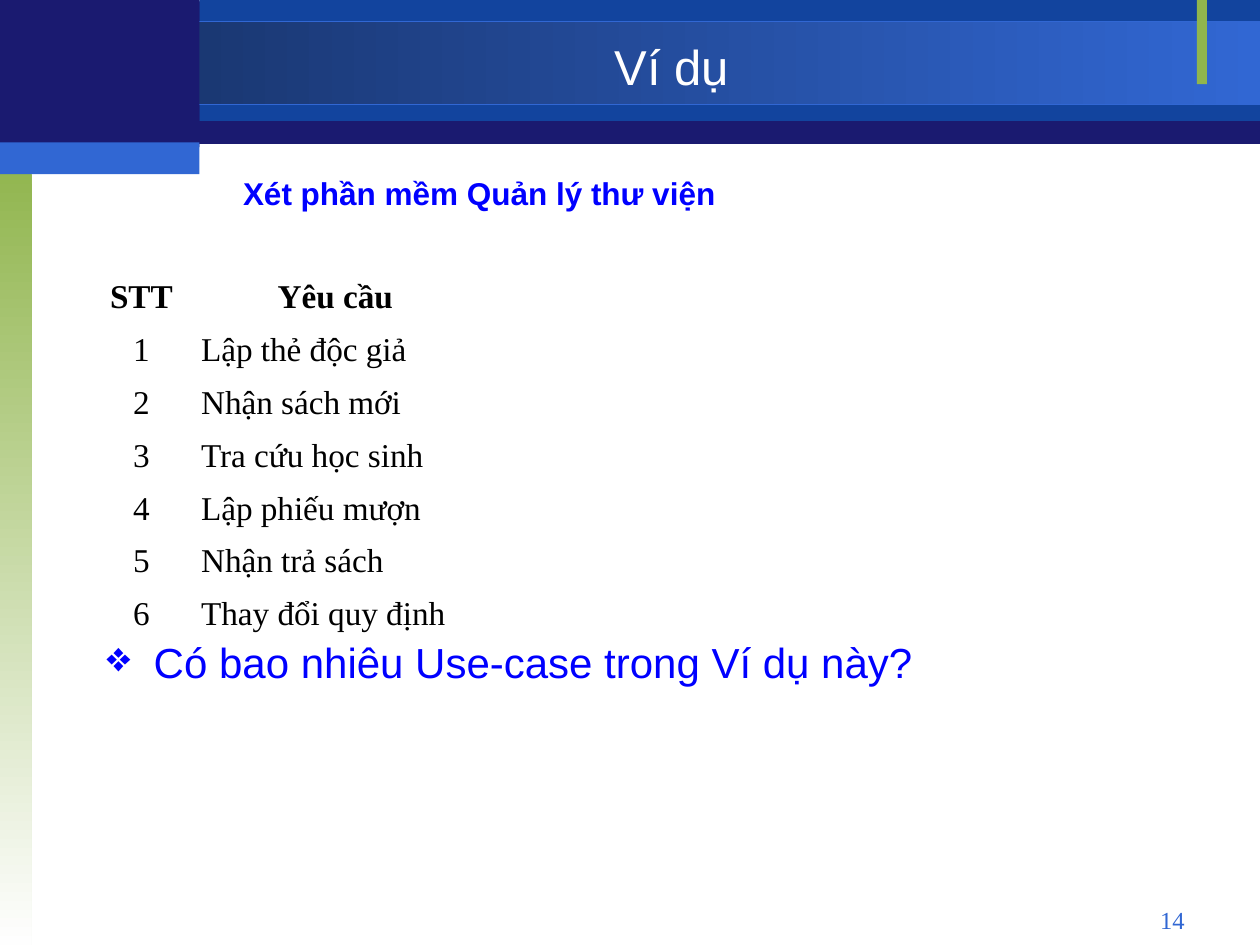
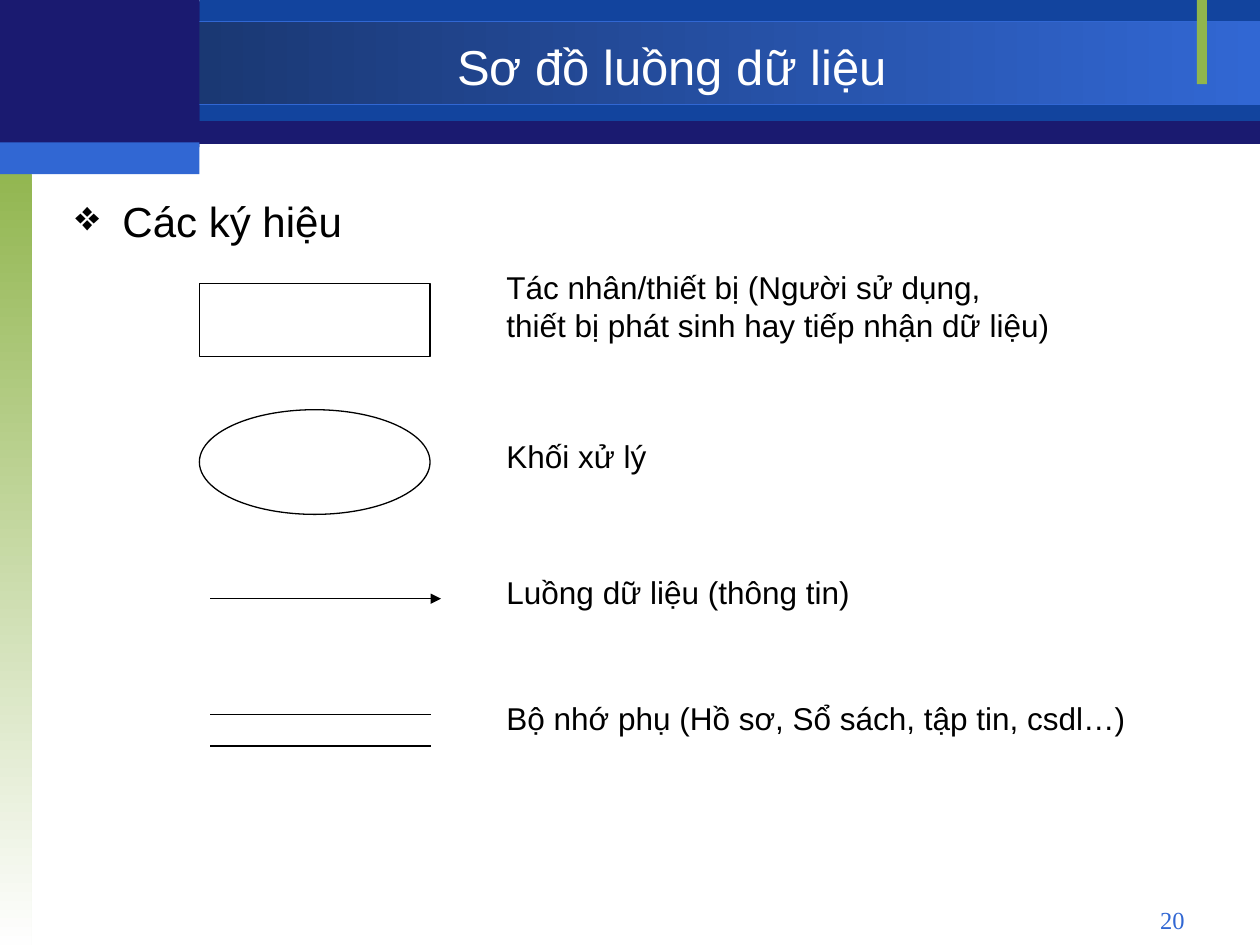
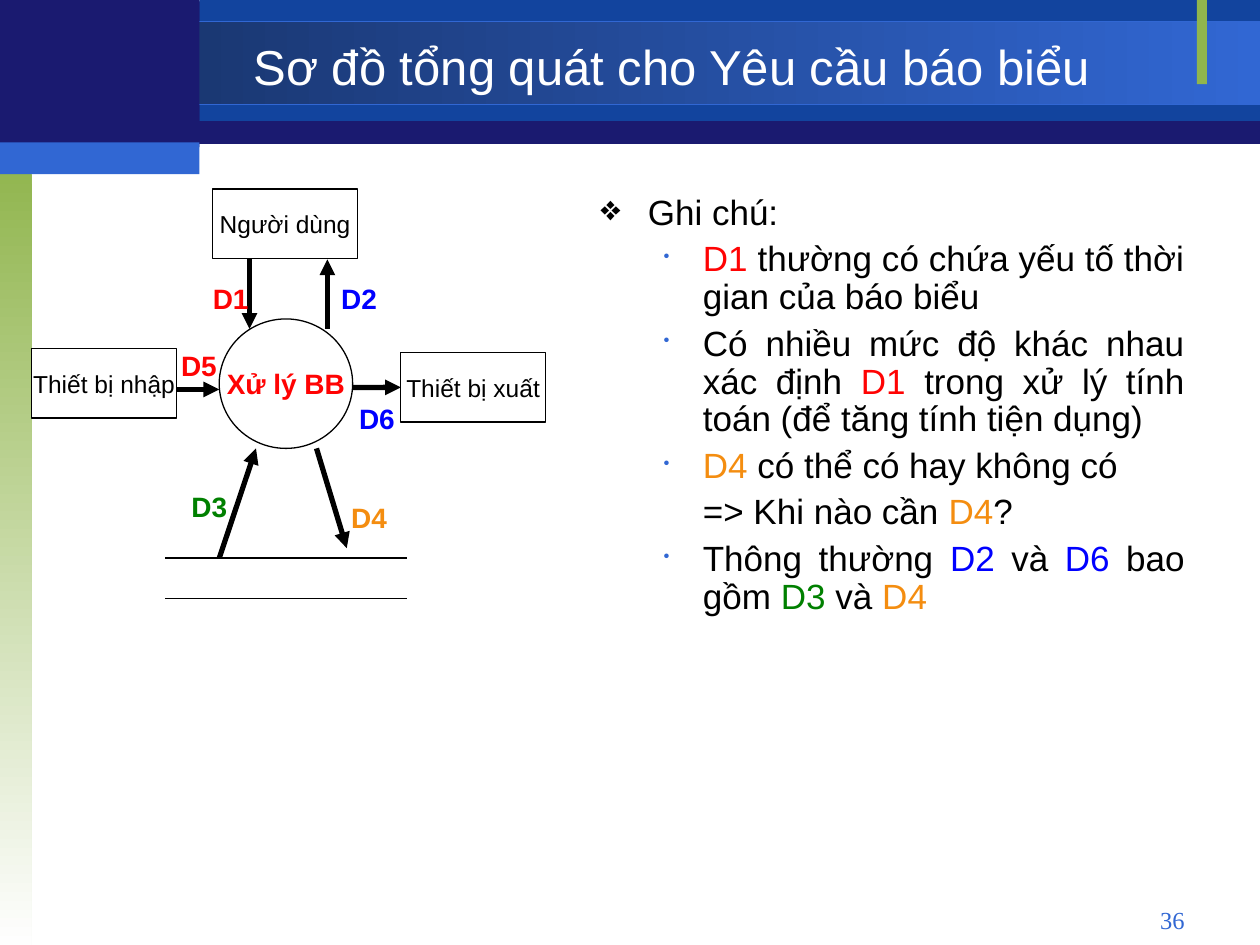
"""Builds three slides on library use cases, data-flow symbols and the report flow diagram."""
import pptx
import pptx.dml.color
import pptx.enum.shapes
import pptx.enum.text
import pptx.oxml.ns
import pptx.util
from lxml import etree

Cm, Pt = pptx.util.Cm, pptx.util.Pt
RGBColor = pptx.dml.color.RGBColor
MSO_SHAPE = pptx.enum.shapes.MSO_SHAPE
PP_ALIGN = pptx.enum.text.PP_ALIGN
MSO_ANCHOR = pptx.enum.text.MSO_ANCHOR

BLACK = RGBColor(0x00, 0x00, 0x00)
WHITE = RGBColor(0xFF, 0xFF, 0xFF)
OFF_WHITE = RGBColor(0xFE, 0xFE, 0xFE)
NAVY = RGBColor(0x1A, 0x1A, 0x70)
ROYAL = RGBColor(0x12, 0x44, 0x9E)
SKY = RGBColor(0x31, 0x67, 0xD3)
DUSK = RGBColor(0x16, 0x2F, 0x61)
LEAF = RGBColor(0x90, 0xB5, 0x4D)
BLUE = RGBColor(0x00, 0x00, 0xFF)
RED = RGBColor(0xFF, 0x03, 0x03)
GREEN = RGBColor(0x00, 0x80, 0x00)
ORANGE = RGBColor(0xF4, 0x8D, 0x10)

SANS, SERIF = "Arial", "Times New Roman"
DIAMOND, DOT = "❖", "•"
THIN, THICK = 0.75, 3

BANDS = [
    ((0, 0.03, 25.4, 2.87), NAVY),
    ((4.02, 0, 21.38, 2.44), ROYAL),
    ((0, 0.43, 25.4, 1.68), (DUSK, SKY, 0)),
    ((0, 3.18, 0.64, 15.87), (LEAF, OFF_WHITE, 270)),
    ((24.13, 0, 0.2, 1.7), LEAF),
    ((0, 0, 4.02, 2.97), NAVY),
    ((0, 2.87, 4.02, 0.64), SKY),
]

LIBRARY = {
    "title": "Ví dụ",
    "number": "14",
    "subject": "Xét phần mềm Quản lý thư viện",
    "headings": ("STT", "Yêu cầu"),
    "requirements": ["Lập thẻ độc giả", "Nhận sách mới", "Tra cứu học sinh",
                     "Lập phiếu mượn", "Nhận trả sách", "Thay đổi quy định"],
    "question": "Có bao nhiêu Use-case trong Ví dụ này?",
}

SYMBOLS = {
    "title": "Sơ đồ luồng dữ liệu",
    "number": "20",
    "heading": "Các ký hiệu",
    "outlines": [(MSO_SHAPE.RECTANGLE, (4.02, 5.72, 4.65, 1.47)),
                 (MSO_SHAPE.OVAL, (4.02, 8.26, 4.65, 2.11))],
    "flow": (4.24, 12.07, 8.89, 12.07),
    "store": [(4.24, y, 8.69, y) for y in (14.4, 15.04)],
    "meanings": [
        (5.28, ["Tác nhân/thiết bị (Người sử dụng,",
                "thiết bị phát sinh hay tiếp nhận dữ liệu)"]),
        (8.69, ["Khối xử lý"]),
        (11.43, ["Luồng dữ liệu (thông tin)"]),
        (13.97, ["Bộ nhớ phụ (Hồ sơ, Sổ sách, tập tin, csdl…)"]),
    ],
}

FLOW_COLOURS = {"D1": RED, "D2": BLUE, "D3": GREEN, "D4": ORANGE, "D5": RED, "D6": BLUE}

REPORT = {
    "title": "Sơ đồ tổng quát cho Yêu cầu báo biểu",
    "number": "36",
    "heading": "Ghi chú:",
    "notes": [
        (DOT, ["D1", " thường có chứa yếu tố thời gian của báo biểu"]),
        (DOT, ["Có nhiều mức độ khác nhau xác định ", "D1",
               " trong xử lý tính toán (để tăng tính tiện dụng)"]),
        (DOT, ["D4", " có thể có hay không có"]),
        (None, ["=> Khi nào cần ", "D4", "?"]),
        (DOT, ["Thông thường ", "D2", " và ", "D6", " bao gồm ", "D3", " và ", "D4"]),
    ],
    "devices": {"Người dùng": (4.29, 3.81), "Thiết bị nhập": (0.64, 7.03),
                "Thiết bị xuất": (8.08, 7.11)},
    "process": ("Xử lý BB", (4.42, 6.43, 2.69, 2.61)),
    "store": [(3.33, y, 8.2, y) for y in (11.25, 12.07)],
    "flows": {
        "D1": ((5.03, 5.23, 5.03, 6.63), (4.04, 5.56)),
        "D2": ((6.6, 6.63, 6.6, 5.23), (6.63, 5.56)),
        "D3": ((4.42, 11.25, 5.16, 9.04), (3.61, 9.75)),
        "D4": ((6.38, 9.04, 6.99, 11.05), (6.83, 9.96)),
        "D5": ((3.56, 7.85, 4.42, 7.85), (3.4, 6.91)),
        "D6": ((7.11, 7.81, 8.08, 7.81), (6.99, 7.98)),
    },
}


def cm(lengths):
    return [Cm(length) for length in lengths]


def add_element(parent, tag, **attributes):
    return etree.SubElement(parent, pptx.oxml.ns.qn(tag), attributes)


def style(paragraph, size, colour, bold=False, face=SANS, align=PP_ALIGN.LEFT):
    paragraph.alignment = align
    font = paragraph.font
    font.size, font.bold, font.name = Pt(size), bold, face
    if colour is not None:
        font.color.rgb = colour


def indent(paragraph, margin, hanging=0, bullet=None, colour=BLACK, percent=100):
    properties = paragraph._p.get_or_add_pPr()
    properties.set("marL", str(Cm(margin)))
    properties.set("indent", str(-Cm(hanging)))
    if bullet:
        bullet_colour = add_element(properties, "a:buClr")
        add_element(bullet_colour, "a:srgbClr", val=str(colour))
        add_element(properties, "a:buSzPct", val=str(percent * 1000))
        add_element(properties, "a:buChar", char=bullet)


def add_text(slide, at, lines, size, colour, wrap=True, anchor=MSO_ANCHOR.TOP,
             bullet=None, **look):
    frame = slide.shapes.add_textbox(*cm(at)).text_frame
    frame.word_wrap = wrap
    frame.vertical_anchor = anchor
    frame.text = "\n".join(lines)
    for paragraph in frame.paragraphs:
        if bullet:
            indent(paragraph, 0.95, 0.95, bullet, colour)
        style(paragraph, size, colour, **look)
    return frame


def add_band(slide, at, colours):
    band = slide.shapes.add_shape(MSO_SHAPE.RECTANGLE, *cm(at))
    band.shadow.inherit = False
    if isinstance(colours, RGBColor):
        band.fill.solid()
        band.fill.fore_color.rgb = colours
        band.line.fill.background()
    else:
        *ends, angle = colours
        band.fill.gradient()
        band.fill.gradient_angle = angle
        for stop, colour in zip(band.fill.gradient_stops, ends):
            stop.color.rgb = colour
        if SKY in ends:
            band.line.color.rgb = SKY
            band.line.width = Pt(THIN)
        else:
            band.line.fill.background()


def add_outline(slide, kind, at, name="", size=14, colour=BLACK, bold=False):
    outline = slide.shapes.add_shape(kind, *cm(at))
    outline.shadow.inherit = False
    outline.fill.background()
    outline.line.color.rgb = BLACK
    outline.line.width = Pt(THIN)
    if name:
        frame = outline.text_frame
        frame.word_wrap = False
        frame.vertical_anchor = MSO_ANCHOR.MIDDLE
        frame.text = name
        style(frame.paragraphs[0], size, colour, bold, align=PP_ALIGN.CENTER)
    return outline


def add_line(slide, ends, width=THIN, arrow=False):
    line = slide.shapes.add_connector(pptx.enum.shapes.MSO_CONNECTOR.STRAIGHT, *cm(ends))
    line.line.color.rgb = BLACK
    line.line.width = Pt(width)
    if arrow:
        add_element(line.line._get_or_add_ln(), "a:tailEnd", type="triangle")
    add_element(line._element.spPr, "a:effectLst")
    return line


def add_slide(deck, content):
    slide = deck.slides.add_slide(deck.slide_layouts[6])
    for at, colours in BANDS:
        add_band(slide, at, colours)
    add_text(slide, (4.02, 0.58, 19.05, 1.48), [content["title"]], 28, WHITE,
             anchor=MSO_ANCHOR.MIDDLE, align=PP_ALIGN.CENTER)
    add_text(slide, (18.21, 18.11, 5.92, 0.69), [content["number"]], 14, SKY,
             face=SERIF, align=PP_ALIGN.RIGHT)
    return slide


def build_library(deck):
    slide = add_slide(deck, LIBRARY)
    rows = [LIBRARY["headings"]]
    rows += [(str(n), need) for n, need in enumerate(LIBRARY["requirements"], 1)]
    widths, row_height = (1.9, 5.92), 1.065
    table = slide.shapes.add_table(len(rows), len(widths), *cm(
        (1.9, 5.5, sum(widths), row_height * len(rows)))).table
    table.first_row = table.horz_banding = False
    for column, width in zip(table.columns, widths):
        column.width = Cm(width)
    for r, row in enumerate(rows):
        for c, text in enumerate(row):
            cell = table.cell(r, c)
            cell.fill.background()
            cell.text = text
            centred = r == 0 or c == 0
            style(cell.text_frame.paragraphs[0], 19, BLACK, r == 0, SERIF,
                  PP_ALIGN.CENTER if centred else PP_ALIGN.LEFT)
    add_text(slide, (4.65, 3.38, 10.03, 1.02), [LIBRARY["subject"]], 18, BLUE,
             wrap=False, bold=True)
    add_text(slide, (1.9, 12.7, 21.16, 3.66), [LIBRARY["question"]], 24, BLUE,
             bullet=DIAMOND, align=PP_ALIGN.JUSTIFY)


def build_symbols(deck):
    slide = add_slide(deck, SYMBOLS)
    add_text(slide, (1.27, 3.81, 22.86, 13.97), [SYMBOLS["heading"]], 24, BLACK,
             bullet=DIAMOND)
    for kind, at in SYMBOLS["outlines"]:
        add_outline(slide, kind, at)
    add_line(slide, SYMBOLS["flow"], arrow=True)
    for ends in SYMBOLS["store"]:
        add_line(slide, ends)
    for top, lines in SYMBOLS["meanings"]:
        add_text(slide, (9.96, top, 13.97, 1.02 * len(lines)), lines, 18, BLACK)


def build_report(deck):
    slide = add_slide(deck, REPORT)
    notes = add_text(slide, (11.86, 3.81, 12.27, 13.97), [REPORT["heading"]], 20, BLACK,
                     bullet=DIAMOND, align=PP_ALIGN.JUSTIFY)
    notes.paragraphs[0].line_spacing = 0.9
    for bullet, pieces in REPORT["notes"]:
        note = notes.add_paragraph()
        note.line_spacing = 0.9
        note.space_before = Pt(5)
        indent(note, 2.06, 0.79 if bullet else 0, bullet, SKY, 50)
        style(note, 20, None, align=PP_ALIGN.JUSTIFY)
        for piece in pieces:
            run = note.add_run()
            run.text = piece
            run.font.color.rgb = FLOW_COLOURS.get(piece, BLACK)

    devices = {name: add_outline(slide, MSO_SHAPE.RECTANGLE, (*corner, 2.92, 1.4), name)
               for name, corner in REPORT["devices"].items()}
    process, process_at = REPORT["process"]
    add_outline(slide, MSO_SHAPE.OVAL, process_at, process, 16, RED, True)
    for ends in REPORT["store"]:
        add_line(slide, ends)
    for name, (ends, corner) in REPORT["flows"].items():
        arrow = add_line(slide, ends, THICK, arrow=True)
        if name == "D6":
            arrow.end_connect(devices["Thiết bị xuất"], 1)
        add_text(slide, (*corner, 1.22, 0.94), [name], 16, FLOW_COLOURS[name],
                 wrap=False, bold=True)


def main():
    deck = pptx.Presentation()
    deck.slide_width, deck.slide_height = Cm(25.4), Cm(19.05)
    build_library(deck)
    build_symbols(deck)
    build_report(deck)
    deck.save("out.pptx")


if __name__ == "__main__":
    main()
